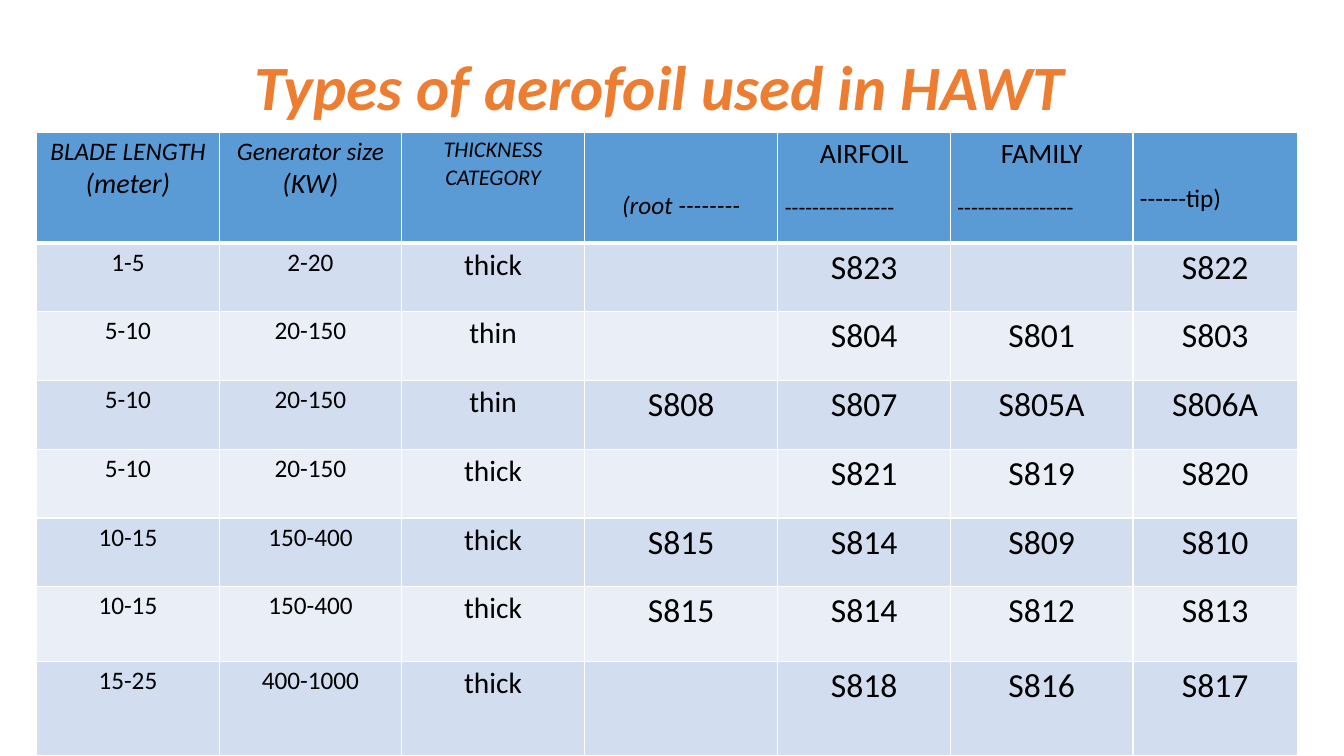
"""Build the slide listing the aerofoil families used in HAWT blades."""
from dataclasses import dataclass

import lxml.etree
import pptx
import pptx.dml.color
import pptx.enum.text
import pptx.oxml.ns
import pptx.util

Pt = pptx.util.Pt
CENTER = pptx.enum.text.PP_ALIGN.CENTER
LEFT = pptx.enum.text.PP_ALIGN.LEFT


@dataclass
class Theme:
    font: str = "Calibri"
    title: str = "ED7D31"
    text: str = "000000"
    header: str = "5B9BD5"
    bands: tuple = ("D2DEEF", "EAEFF7")
    border: str = "FFFFFF"
    title_size: int = 45
    range_size: int = 18
    category_size: int = 21
    airfoil_size: int = 24


theme = Theme()


def write_line(para, text, size, color=theme.text, italic=False, bold=False, align=CENTER):
    para.text = text
    para.alignment = align
    for span in para.runs:
        span.font.name = theme.font
        span.font.size = Pt(size)
        span.font.bold = bold
        span.font.italic = italic
        span.font.color.rgb = pptx.dml.color.RGBColor.from_string(color)


def style_cell(cell, color, top_width, bottom_width):
    cell.margin_left = cell.margin_right = Pt(5)
    cell.margin_top = cell.margin_bottom = Pt(3)
    cell.fill.solid()
    cell.fill.fore_color.rgb = pptx.dml.color.RGBColor.from_string(color)
    properties = cell._tc.get_or_add_tcPr()
    sides = {"lnL": 1, "lnR": 1, "lnT": top_width, "lnB": bottom_width}
    for position, (side, width) in enumerate(sides.items()):
        line = lxml.etree.Element(pptx.oxml.ns.qn("a:" + side), w=str(Pt(width)))
        fill = lxml.etree.SubElement(line, pptx.oxml.ns.qn("a:solidFill"))
        lxml.etree.SubElement(fill, pptx.oxml.ns.qn("a:srgbClr"), val=theme.border)
        properties.insert(position, line)


deck = pptx.Presentation()
deck.slide_width, deck.slide_height = Pt(960), Pt(540)
page = deck.slides.add_slide(deck.slide_layouts[6])

box = page.shapes.add_textbox(Pt(56.9), Pt(12.2), Pt(828), Pt(104.4))
box.text_frame.word_wrap = True
box.text_frame.vertical_anchor = pptx.enum.text.MSO_ANCHOR.MIDDLE
title = box.text_frame.paragraphs[0]
title.line_spacing = 0.9
write_line(title, "Types of aerofoil used in HAWT", theme.title_size, theme.title, italic=True, bold=True)

# Each heading: lines as (text, size, alignment), italic, top margin, gap between lines
headings = [
    ([("BLADE LENGTH", 18, CENTER), ("(meter)", 20, CENTER)], True, 3, 0),
    ([("Generator size", 18, CENTER), ("(KW)", 20, CENTER)], True, 3, 0),
    ([("THICKNESS", 16, CENTER), ("CATEGORY", 16, CENTER)], True, 3, 0),
    ([("(root --------", 18, CENTER)], True, 42, 0),
    ([("AIRFOIL", 20, CENTER), ("----------------", 16, LEFT)], False, 3, 17),
    ([("FAMILY", 20, CENTER), ("-----------------", 16, LEFT)], False, 3, 17),
    ([("------tip)", 18, LEFT)], False, 37, 0),
]
airfoils = [
    ("1-5", "2-20", "thick", "", "S823", "", "S822"),
    ("5-10", "20-150", "thin", "", "S804", "S801", "S803"),
    ("5-10", "20-150", "thin", "S808", "S807", "S805A", "S806A"),
    ("5-10", "20-150", "thick", "", "S821", "S819", "S820"),
    ("10-15", "150-400", "thick", "S815", "S814", "S809", "S810"),
    ("10-15", "150-400", "thick", "S815", "S814", "S812", "S813"),
    ("15-25", "400-1000", "thick", "", "S818", "S816", "S817"),
]
column_widths = [130.4, 130.4, 130.4, 138.3, 123.2, 130.4, 117.6]
row_heights = [79.2] + [49.1] * 5 + [53.4, 67.6]
column_sizes = [theme.range_size] * 2 + [theme.category_size] + [theme.airfoil_size] * 4

table = page.shapes.add_table(
    len(row_heights), len(column_widths),
    Pt(26.2), Pt(94.4), Pt(sum(column_widths)), Pt(sum(row_heights)),
).table
for column, width in zip(table.columns, column_widths):
    column.width = Pt(width)
for row, height in zip(table.rows, row_heights):
    row.height = Pt(height)

for column, (lines, italic, top, gap) in enumerate(headings):
    cell = table.cell(0, column)
    style_cell(cell, theme.header, 1, 3)
    cell.margin_top = Pt(top)
    for index, (text, size, align) in enumerate(lines):
        para = cell.text_frame.add_paragraph() if index else cell.text_frame.paragraphs[0]
        write_line(para, text, size, italic=italic, align=align)
        if index:
            para.space_before = Pt(gap)

for row, values in enumerate(airfoils, start=1):
    for column, (value, size) in enumerate(zip(values, column_sizes)):
        cell = table.cell(row, column)
        style_cell(cell, theme.bands[(row - 1) % 2], 3 if row == 1 else 1, 1)
        if value:
            write_line(cell.text_frame.paragraphs[0], value, size)

deck.save("out.pptx")
